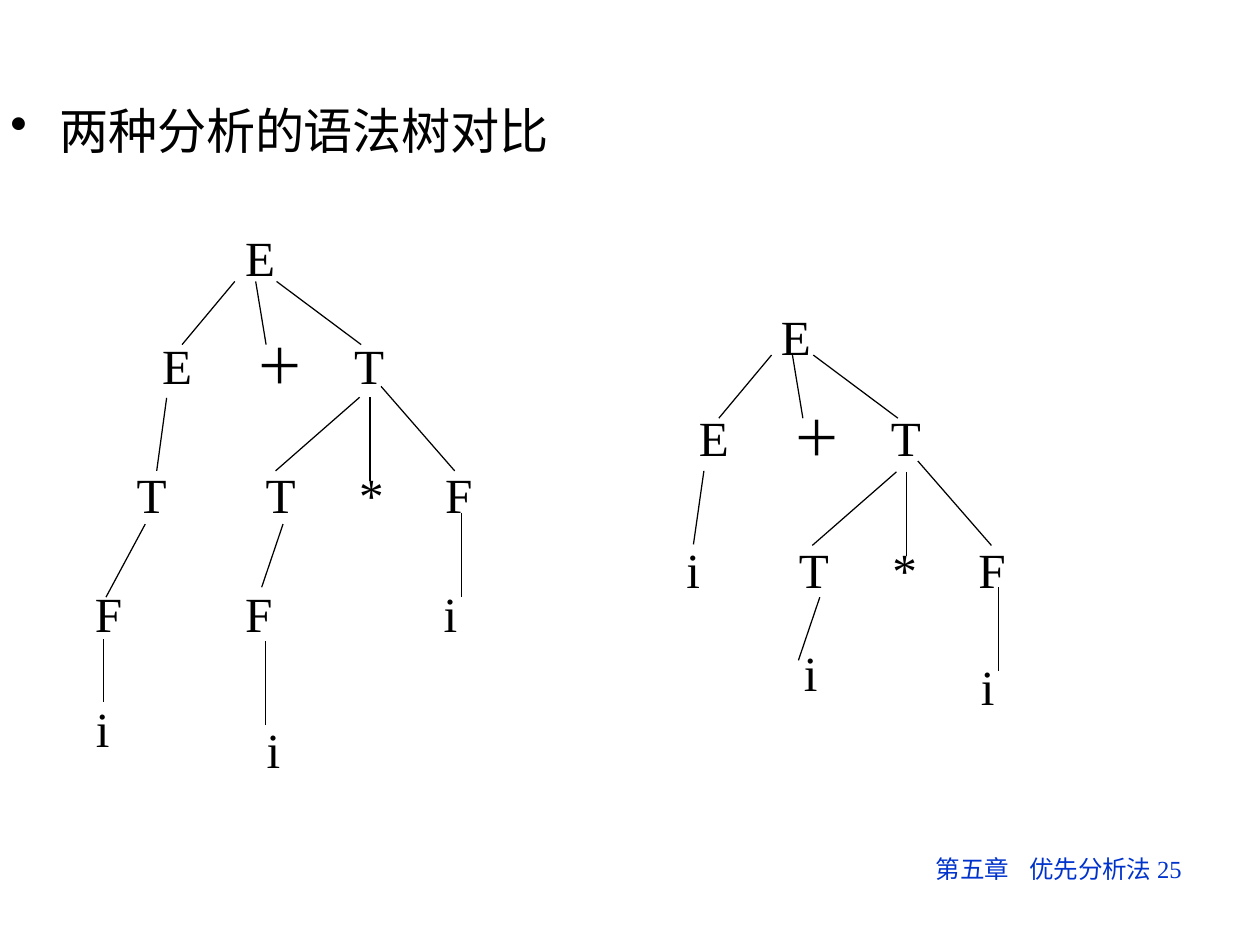
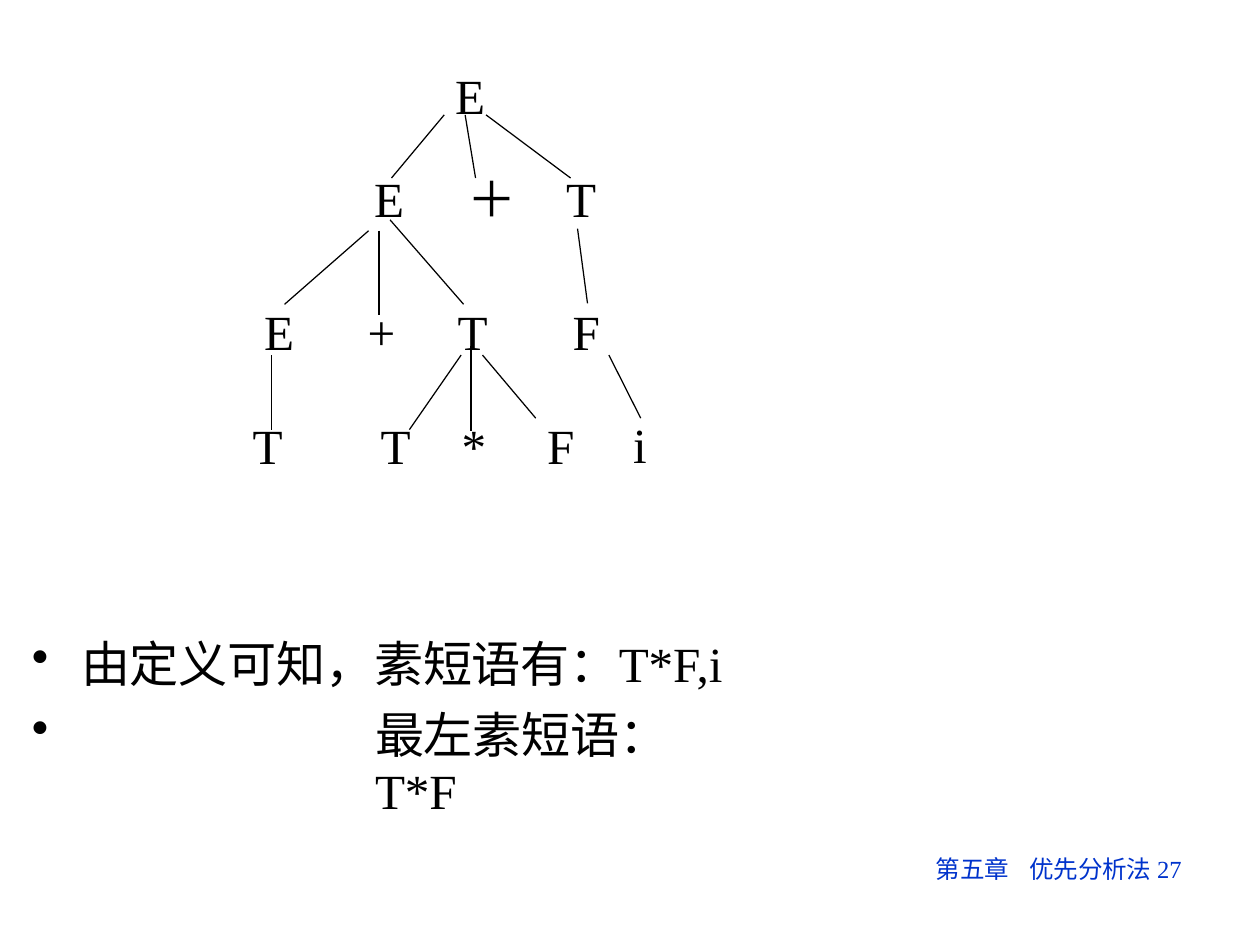
from dataclasses import dataclass
from itertools import groupby
from typing import NamedTuple

from lxml import etree
from pptx import Presentation
from pptx.dml.color import RGBColor
from pptx.enum.shapes import MSO_CONNECTOR
from pptx.oxml.ns import qn
from pptx.util import Cm, Pt

BLACK = RGBColor(0x00, 0x00, 0x00)
BLUE = RGBColor(0x00, 0x33, 0xCC)
LATIN = "Times New Roman"
CJK = "Noto Sans CJK SC"
LETTER_WIDTH = 0.7
LEFT_MARGIN = 0.03


class Edge(NamedTuple):
    x1: float
    y1: float
    x2: float
    y2: float


class Row(NamedTuple):
    """Symbols on one level of a tree, separated by tabs."""
    text: str
    x: float
    y: float
    tabs: tuple[float, ...] = ()


class Para(NamedTuple):
    text: str
    tabs: tuple[float, ...] = ()
    hang: float = 0
    before: float = 0


@dataclass
class Tree:
    rows: list[Row]
    sum_fan: tuple[float, float]
    lower_fan: tuple[float, float]
    edges: list[Edge]


SUM_FAN = [Edge(1.06, 0, 0, 1.27), Edge(1.48, 0, 1.69, 1.27), Edge(1.9, 0, 3.6, 1.27)]
LOWER_FAN = [Edge(1.69, 0.22, 0, 1.7), Edge(1.9, 0.22, 1.9, 1.91), Edge(2.12, 0, 3.6, 1.7)]
SUM_TABS = (1.88, 3.86)
PRODUCT_TABS = (1.88, 3.61)

LEFT_TREE = Tree(
    rows=[
        Row("E", 4.9, 4.53),
        Row("E\t＋\tT", 3.23, 6.7, SUM_TABS),
        Row("T", 2.72, 9.3),
        Row("T\t*\tF", 5.31, 9.3, PRODUCT_TABS),
        Row("F", 1.88, 11.68),
        Row("F", 4.9, 11.68),
        Row("i", 8.89, 11.68),
        Row("i", 5.33, 14.42),
        Row("i", 1.9, 14),
    ],
    sum_fan=(3.66, 5.66),
    lower_fan=(5.54, 7.77),
    edges=[
        Edge(3.35, 8, 3.15, 9.47),
        Edge(5.69, 10.54, 5.26, 11.81),
        Edge(9.27, 10.31, 9.27, 12.01),
        Edge(2.92, 10.54, 2.13, 12.01),
        Edge(5.33, 12.9, 5.33, 14.58),
        Edge(2.08, 12.85, 2.08, 14.12),
    ],
)
RIGHT_TREE = Tree(
    rows=[
        Row("E", 15.67, 6.12),
        Row("E\t＋\tT", 14.02, 8.16, SUM_TABS),
        Row("i", 13.77, 10.8),
        Row("T\t*\tF", 16.03, 10.8, PRODUCT_TABS),
        Row("i", 19.69, 13.15),
        Row("i", 16.13, 12.87),
    ],
    sum_fan=(14.45, 7.14),
    lower_fan=(16.33, 9.27),
    edges=[
        Edge(14.15, 9.47, 13.94, 10.95),
        Edge(16.48, 12.01, 16.05, 13.28),
        Edge(20.07, 11.81, 20.07, 13.49),
    ],
)
PHRASE_TREE = Tree(
    rows=[
        Row("E", 9.12, 1.27),
        Row("E\t＋\tT", 7.49, 3.35, SUM_TABS),
        Row("E\t+\tT\tF", 5.28, 6.02, (2.08, 3.89, 6.2)),
        Row("T", 5.05, 8.31),
        Row("T\t*\tF", 7.62, 8.31, (1.63, 3.35)),
        Row("i", 12.7, 8.29),
    ],
    sum_fan=(7.87, 2.31),
    lower_fan=(5.72, 4.42),
    edges=[
        Edge(11.61, 4.6, 11.81, 6.1),
        Edge(5.46, 7.14, 5.46, 8.64),
        Edge(9.47, 6.96, 9.47, 8.66),
        Edge(9.27, 7.14, 8.23, 8.64),
        Edge(9.7, 7.14, 10.77, 8.41),
        Edge(12.24, 7.14, 12.88, 8.41),
    ],
)


def add_runs(p, text: str, size: float, color: RGBColor) -> None:
    """Split text into Latin and Chinese runs, each in its own font."""
    for is_latin, chars in groupby(text, str.isascii):
        r = p.add_run()
        r.text = "".join(chars)
        r.font.size = Pt(size)
        r.font.color.rgb = color
        r.font.name = LATIN if is_latin else CJK
        rPr = r.font._element
        etree.SubElement(rPr, qn("a:ea")).set("typeface", CJK)
        if not is_latin:
            rPr.set("spc", "-10")


def add_layout(p, para: Para) -> None:
    """Give a paragraph its hanging bullet and tab stops."""
    pPr = p._p.get_or_add_pPr()
    if para.hang:
        pPr.set("marL", str(Cm(para.hang)))
        pPr.set("indent", str(-Cm(para.hang)))
        etree.SubElement(pPr, qn("a:buChar")).set("char", "•")
    if para.tabs:
        tab_list = etree.SubElement(pPr, qn("a:tabLst"))
        for pos in para.tabs:
            tab = etree.SubElement(tab_list, qn("a:tab"))
            tab.set("pos", str(Cm(pos)))
            tab.set("algn", "l")


def add_text(s, x: float, y: float, w: float, h: float, paras: list[Para],
             size: float = 28, color: RGBColor = BLACK,
             line: float = 32, inset: float = 0.1) -> None:
    tf = s.shapes.add_textbox(Cm(x), Cm(y), Cm(w), Cm(h)).text_frame
    tf.word_wrap = True
    tf.margin_left = Cm(LEFT_MARGIN)
    tf.margin_right = tf.margin_bottom = 0
    tf.margin_top = Cm(inset)
    for i, para in enumerate(paras):
        p = tf.add_paragraph() if i else tf.paragraphs[0]
        add_layout(p, para)
        p.line_spacing = Pt(line)
        if para.before:
            p.space_before = Pt(para.before)
        add_runs(p, para.text, size, color)


def add_edge(s, edge: Edge, dx: float = 0, dy: float = 0) -> None:
    line = s.shapes.add_connector(
        MSO_CONNECTOR.STRAIGHT, Cm(edge.x1 + dx), Cm(edge.y1 + dy),
        Cm(edge.x2 + dx), Cm(edge.y2 + dy))
    line.line.color.rgb = BLACK
    line.line.width = Pt(0.72)
    etree.SubElement(line._element.spPr, qn("a:effectLst"))


def add_tree(s, tree: Tree) -> None:
    for row in tree.rows:
        width = max(row.tabs, default=0) + LETTER_WIDTH
        add_text(s, row.x, row.y, width, 1.27, [Para(row.text, row.tabs)])
    for fan, origin in ((SUM_FAN, tree.sum_fan), (LOWER_FAN, tree.lower_fan)):
        for edge in fan:
            add_edge(s, edge, *origin)
    for edge in tree.edges:
        add_edge(s, edge)


def add_slide(prs, number: int, trees: list[Tree]):
    s = prs.slides.add_slide(prs.slide_layouts[6])
    for tree in trees:
        add_tree(s, tree)
    footer = Para(f"第五章\t优先分析法 {number}", (1.88,))
    add_text(s, 18.78, 17.2, 5.2, 0.66, [footer], 14, BLUE, 16.2, 0)
    return s


def main() -> None:
    prs = Presentation()
    prs.slide_width, prs.slide_height = Pt(718), Pt(537)

    s = add_slide(prs, 25, [LEFT_TREE, RIGHT_TREE])
    add_text(s, 0.18, 1.97, 10.9, 1.3, [Para("两种分析的语法树对比", hang=0.99)])

    s = add_slide(prs, 27, [PHRASE_TREE])
    add_text(s, 0.61, 12.7, 14.3, 3.7, [
        Para("由定义可知，素短语有：T*F,i", hang=0.99),
        Para("最左素短语：T*F", hang=6.9, before=8.5),
    ])
    prs.save("out.pptx")


if __name__ == "__main__":
    main()
